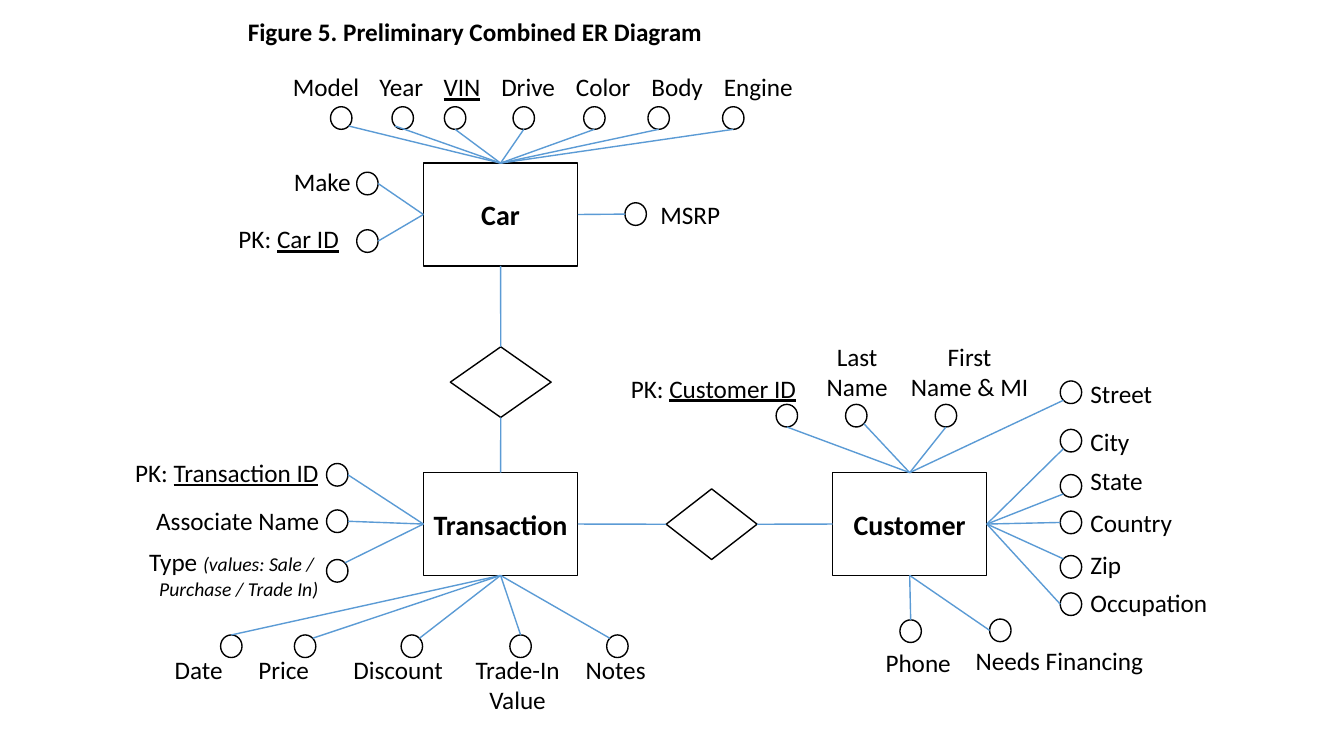
from dataclasses import dataclass
from math import cos, radians, sin

from lxml.etree import SubElement
from pptx import Presentation
from pptx.dml.color import RGBColor
from pptx.enum.shapes import MSO_CONNECTOR, MSO_SHAPE
from pptx.enum.text import MSO_ANCHOR, MSO_AUTO_SIZE, PP_ALIGN
from pptx.oxml.ns import qn
from pptx.util import Cm, Pt

TOP, LEFT, BOTTOM, RIGHT = range(4)
(OVAL_TOP, OVAL_TOP_LEFT, OVAL_LEFT, OVAL_BOTTOM_LEFT,
 OVAL_BOTTOM, OVAL_BOTTOM_RIGHT, OVAL_RIGHT, OVAL_TOP_RIGHT) = range(8)


@dataclass(frozen=True)
class Theme:
    font: str = "Calibri"
    ink: RGBColor = RGBColor(0x00, 0x00, 0x00)
    link: RGBColor = RGBColor(0x5B, 0x9B, 0xD5)
    entity_size: Pt = Pt(20)
    text_size: Pt = Pt(18)
    note_size: Pt = Pt(14)
    line_width: Pt = Pt(1)


@dataclass(frozen=True)
class Span:
    text: str
    underline: bool = False
    note: bool = False


def plain(text):
    return [[Span(line)] for line in text.split("\n")]


def primary_key(name):
    return [[Span("PK: "), Span(name, underline=True)]]


class Diagram:
    circle_width, circle_height = 0.54, 0.57

    def __init__(self, slide, theme):
        self.slide, self.theme = slide, theme

    def style(self, paragraph, size, bold=False, alignment=PP_ALIGN.CENTER):
        paragraph.alignment = alignment
        font = paragraph.font
        font.name, font.size, font.bold = self.theme.font, size, bold
        font.color.rgb = self.theme.ink

    def title(self, text, left, top, width, height):
        shape = self.slide.shapes.title
        shape.left, shape.top, shape.width, shape.height = map(Cm, (left, top, width, height))
        frame = shape.text_frame
        frame.text = text
        frame.auto_size = MSO_AUTO_SIZE.NONE
        frame.word_wrap = False
        frame.vertical_anchor = MSO_ANCHOR.TOP
        self.style(frame.paragraphs[0], self.theme.text_size, True, PP_ALIGN.LEFT)

    def outline(self, kind, left, top, width, height):
        shape = self.slide.shapes.add_shape(kind, *map(Cm, (left, top, width, height)))
        shape.shadow.inherit = False
        shape.fill.background()
        shape.line.color.rgb = self.theme.ink
        shape.line.width = self.theme.line_width
        return shape

    def entity(self, name, left, top):
        shape = self.outline(MSO_SHAPE.RECTANGLE, left, top, 3.89, 2.59)
        frame = shape.text_frame
        frame.text = name
        frame.word_wrap = False
        frame.vertical_anchor = MSO_ANCHOR.MIDDLE
        self.style(frame.paragraphs[0], self.theme.entity_size, True)
        return shape

    def label(self, content, left, top, width, alignment):
        height = 1.02 + 0.78 * (len(content) - 1)
        box = self.slide.shapes.add_textbox(*map(Cm, (left, top, width, height)))
        frame = box.text_frame
        frame.word_wrap = False
        frame.auto_size = MSO_AUTO_SIZE.SHAPE_TO_FIT_TEXT
        for index, spans in enumerate(content):
            paragraph = frame.add_paragraph() if index else frame.paragraphs[0]
            all_notes = all(span.note for span in spans)
            self.style(paragraph, self.theme.note_size if all_notes else self.theme.text_size,
                       alignment=alignment)
            for span in spans:
                run = paragraph.add_run()
                run.text = span.text
                if span.underline:
                    run.font.underline = True
                if span.note:
                    run.font.italic = True
                    run.font.size = self.theme.note_size

    def connector(self, start, start_site):
        line = self.slide.shapes.add_connector(MSO_CONNECTOR.STRAIGHT, 0, 0, 0, 0)
        line.begin_connect(start, start_site)
        line.line.color.rgb = self.theme.link
        line.line.width = self.theme.line_width
        SubElement(line.element.spPr, qn("a:effectLst"))
        return line

    def relate(self, start, start_site, end, end_site):
        self.connector(start, start_site).end_connect(end, end_site)

    def attribute(self, entity, side, content, circle, site, place, alignment=PP_ALIGN.CENTER):
        oval = self.outline(MSO_SHAPE.OVAL, *circle, self.circle_width, self.circle_height)
        line = self.connector(entity, side)
        angle = radians(45 * site)
        line.end_x = round(oval.left + oval.width * (1 - sin(angle)) / 2)
        line.end_y = round(oval.top + oval.height * (1 - cos(angle)) / 2)
        properties = line.element.find(".//" + qn("p:cNvCxnSpPr"))
        SubElement(properties, qn("a:endCxn"), id=str(oval.shape_id), idx=str(site))
        self.label(content, *place, alignment)


presentation = Presentation()
presentation.slide_width, presentation.slide_height = Cm(33.87), Cm(19.05)
slide = presentation.slides.add_slide(presentation.slide_layouts[5])
diagram = Diagram(slide, Theme())
diagram.title("Figure 5. Preliminary Combined ER Diagram", 5.99, 0.28, 12.04, 1.02)

car = diagram.entity("Car", 10.67, 4.11)
transaction = diagram.entity("Transaction", 10.67, 11.91)
customer = diagram.entity("Customer", 20.98, 11.91)
car_sale = diagram.outline(MSO_SHAPE.DIAMOND, 11.35, 8.74, 2.54, 1.78)
customer_sale = diagram.outline(MSO_SHAPE.DIAMOND, 16.79, 12.32, 2.29, 1.78)
diagram.relate(car, BOTTOM, car_sale, TOP)
diagram.relate(car_sale, BOTTOM, transaction, TOP)
diagram.relate(transaction, RIGHT, customer_sale, LEFT)
diagram.relate(customer_sale, RIGHT, customer, LEFT)

for content, circle_left, site, left, width in (
    (plain("Model"), 8.33, OVAL_BOTTOM_RIGHT, 7.11, 2.21),
    (plain("Year"), 9.88, OVAL_BOTTOM_LEFT, 9.3, 1.63),
    ([[Span("VIN", underline=True)]], 11.2, OVAL_BOTTOM, 10.92, 1.45),
    (plain("Drive"), 12.93, OVAL_BOTTOM, 12.37, 1.88),
    (plain("Color"), 14.71, OVAL_BOTTOM, 14.25, 1.9),
    (plain("Body"), 16.33, OVAL_BOTTOM, 16.15, 1.83),
    (plain("Engine"), 18.21, OVAL_BOTTOM, 17.98, 2.26),
):
    diagram.attribute(car, TOP, content, (circle_left, 2.69), site, (left, 1.68, width))

diagram.attribute(car, LEFT, plain("Make"), (8.99, 4.34), OVAL_RIGHT, (7.14, 4.06, 1.96))
diagram.attribute(car, LEFT, primary_key("Car ID"), (8.99, 5.79), OVAL_RIGHT, (5.74, 5.51, 3.07))
diagram.attribute(car, RIGHT, plain("MSRP"), (15.75, 5.11), OVAL_LEFT, (16.38, 4.9, 2.03))

sale_type = [[Span("Type "), Span("(values: Sale / ", note=True)],
             [Span("Purchase / Trade In)", note=True)]]
for content, circle_top, site, place in (
    (primary_key("Transaction ID"), 11.68, OVAL_RIGHT, (3.1, 11.4, 5.18)),
    (plain("Associate Name"), 12.85, OVAL_RIGHT, (3.63, 12.62, 4.67)),
    (sale_type, 14.1, OVAL_TOP_RIGHT, (3.45, 13.64, 4.83)),
):
    diagram.attribute(transaction, LEFT, content, (8.23, circle_top), site, place, PP_ALIGN.RIGHT)

for name, circle_left, site, left, width in (
    ("Date", 5.56, OVAL_TOP, 4.14, 1.73),
    ("Price", 7.42, OVAL_TOP_RIGHT, 6.25, 1.8),
    ("Discount", 10.11, OVAL_TOP_RIGHT, 8.64, 2.79),
    ("Trade-In\nValue", 12.85, OVAL_TOP, 11.71, 2.67),
    ("Notes", 15.29, OVAL_TOP_LEFT, 14.5, 2.03),
):
    diagram.attribute(transaction, BOTTOM, plain(name), (circle_left, 16), site,
                      (left, 16.36, width))

for content, circle_left, site, place in (
    (primary_key("Customer ID"), 19.56, OVAL_BOTTOM, (15.62, 9.27, 4.72)),
    (plain("Last\nName"), 21.31, OVAL_BOTTOM_RIGHT, (20.57, 8.48, 2.06)),
    (plain("First\nName & MI"), 23.57, OVAL_BOTTOM, (22.68, 8.48, 3.51)),
):
    diagram.attribute(customer, TOP, content, (circle_left, 10.19), site, place)

for name, side, circle_top, site, top, width in (
    ("Street", TOP, 9.6, OVAL_BOTTOM_LEFT, 9.4, 2.08),
    ("City", RIGHT, 10.82, OVAL_BOTTOM_LEFT, 10.62, 1.5),
    ("State", RIGHT, 11.96, OVAL_BOTTOM_LEFT, 11.61, 1.83),
    ("Country", RIGHT, 12.88, OVAL_LEFT, 12.65, 2.59),
    ("Zip", RIGHT, 14, OVAL_TOP_LEFT, 13.72, 1.3),
    ("Occupation", RIGHT, 14.94, OVAL_LEFT, 14.68, 3.51),
):
    diagram.attribute(customer, side, plain(name), (26.72, circle_top), site,
                      (27.23, top, width), PP_ALIGN.LEFT)

diagram.attribute(customer, BOTTOM, plain("Phone"), (22.68, 15.62), OVAL_TOP, (22.05, 16.18, 2.18))
diagram.attribute(customer, BOTTOM, plain("Needs Financing"), (24.94, 15.6), OVAL_LEFT,
                  (24.31, 16.13, 4.78))

presentation.save("out.pptx")
